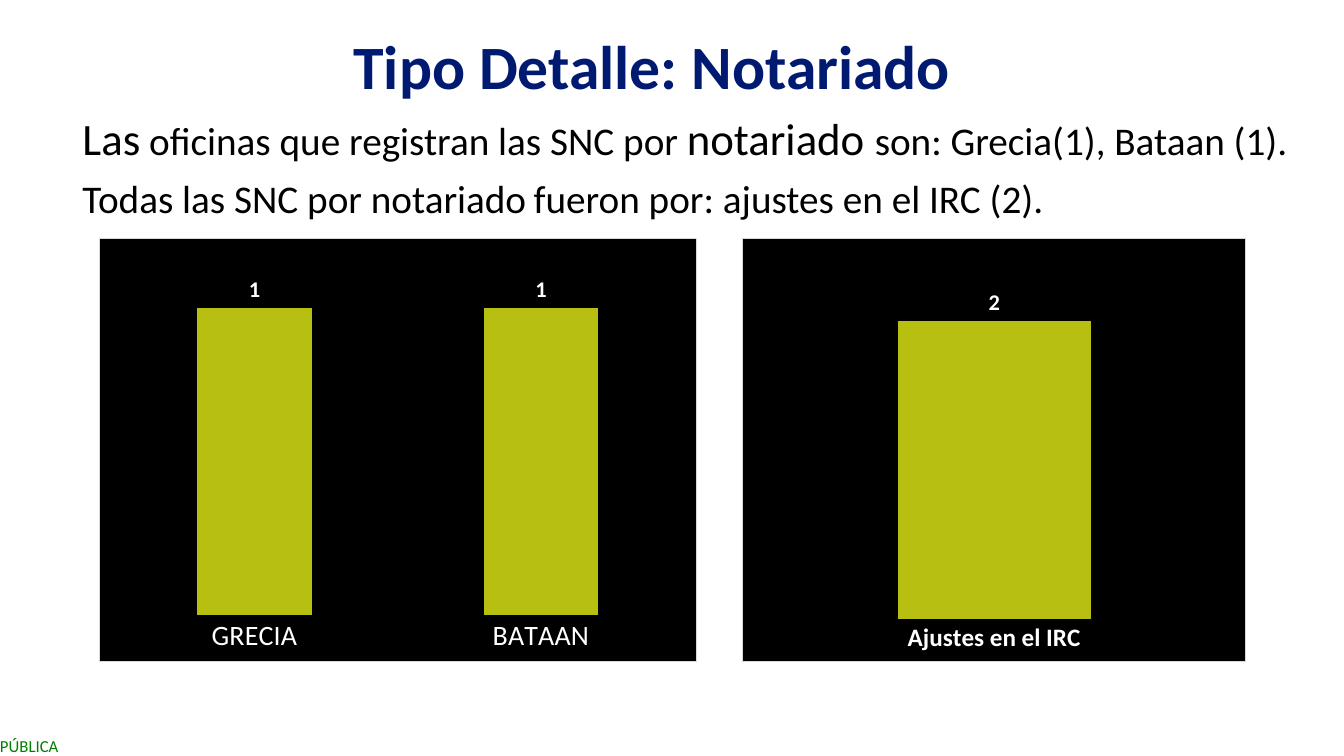
from lxml import etree
from pptx import Presentation
from pptx.chart.data import CategoryChartData
from pptx.dml.color import RGBColor
from pptx.enum.chart import XL_CHART_TYPE as CT, XL_LABEL_POSITION as LP, XL_TICK_MARK as TM
from pptx.enum.text import MSO_ANCHOR as ANCHOR, PP_ALIGN as ALIGN
from pptx.oxml import parse_xml
from pptx.oxml.ns import nsdecls, qn
from pptx.util import Pt

PX = 9144  # EMU per px, 100 px to the inch


def rgb(value):
    return RGBColor.from_string(value)


class Deck:
    FONT = "Calibri"
    BLACK, WHITE, NAVY, GREEN = "000000", "FFFFFF", "001A72", "008000"
    BAR, BORDER = "B7BF10", "D9D9D9"

    def __init__(self, width, height):
        self.prs = Presentation()
        self.prs.slide_width, self.prs.slide_height = width * PX, height * PX
        self.s = self.prs.slides.add_slide(self.prs.slide_layouts[6])

    def style(self, font, size, color, bold=False):
        values = {"name": self.FONT, "size": Pt(size), "bold": bold}
        for key, value in values.items():
            setattr(font, key, value)
        font.color.rgb = rgb(color)

    def text(self, box, paragraphs, color, bold=False, frame=None, para=None, gap=0):
        """Each paragraph is a list of (text, size) runs."""
        sp = self.s.shapes.add_textbox(*(v * PX for v in box))
        tf = sp.text_frame
        for key, value in {"word_wrap": True, **(frame or {})}.items():
            setattr(tf, key, value)
        for i, runs in enumerate(paragraphs):
            p = tf.paragraphs[0] if i == 0 else tf.add_paragraph()
            for key, value in (para or {}).items():
                setattr(p, key, value)
            if i:
                p.space_before = Pt(gap)
            for content, size in runs:
                r = p.add_run()
                r.text = content
                self.style(r.font, size, color, bold)

    def columns(self, box, values, top, label_size, label_bold=False):
        data = CategoryChartData()
        data.categories = list(values)
        data.add_series("Series 1", list(values.values()))
        frame = self.s.shapes.add_chart(CT.COLUMN_CLUSTERED, *(v * PX for v in box), data)
        chart = frame.chart
        chart.has_title = chart.has_legend = False
        self.style(chart.font, 10, self.BLACK)

        # Axes
        axis = chart.category_axis
        axis.major_tick_mark = axis.minor_tick_mark = TM.NONE
        axis.format.line.fill.background()
        self.style(axis.tick_labels.font, label_size, self.WHITE, label_bold)
        scale = chart.value_axis
        limits = {"minimum_scale": 0, "maximum_scale": top,
                  "has_major_gridlines": False, "visible": False}
        for key, value in limits.items():
            setattr(scale, key, value)

        # Bars and their values
        plot = chart.plots[0]
        plot.gap_width, plot.vary_by_categories = 150, False
        series = plot.series[0]
        series.format.fill.solid()
        series.format.fill.fore_color.rgb = rgb(self.BAR)
        labels = series.data_labels
        labels.show_value, labels.position = True, LP.OUTSIDE_END
        self.style(labels.font, 16, self.WHITE, True)

        # Chart background and border
        area = parse_xml(
            f'<c:spPr {nsdecls("c", "a")}>'
            f'<a:solidFill><a:srgbClr val="{self.BLACK}"/></a:solidFill>'
            f'<a:ln w="{Pt(0.75)}"><a:solidFill><a:srgbClr val="{self.BORDER}"/>'
            '</a:solidFill></a:ln></c:spPr>')
        space = chart.element if hasattr(chart, "element") else chart._chartSpace
        space.find(qn("c:chart")).addnext(area)
        if space.find(qn("c:roundedCorners")) is None:
            corners = etree.Element(qn("c:roundedCorners"), val="0")
            date = space.find(qn("c:date1904"))
            if date is not None:
                date.addnext(corners)
            else:
                space.insert(0, corners)


def main():
    deck = Deck(1333, 750)

    # Classification mark
    margins = ("margin_left", "margin_top", "margin_right", "margin_bottom")
    deck.text((0, 730, 83, 20), [[("PÚBLICA", 12)]], deck.GREEN,
              frame=dict.fromkeys(margins, 0))

    # Title
    deck.text((235, 14, 824, 93), [[("Tipo Detalle: Notariado", 44)]], deck.NAVY, True,
              frame={"vertical_anchor": ANCHOR.BOTTOM},
              para={"alignment": ALIGN.CENTER, "line_spacing": 0.9})

    # Charts: offices, then causes
    deck.columns((98, 236, 593, 421), {"GRECIA": 1, "BATAAN": 1}, 1.2, 20)
    deck.columns((736, 236, 500, 421), {"Ajustes en el IRC": 2}, 2.5, 18, True)

    # Summary
    deck.text((72, 111, 1226, 121), [
        [("Las", 32), (" oficinas que registran las SNC por ", 28),
         ("notariado ", 32), ("son: Grecia(1), Bataan (1).", 28)],
        [("Todas las SNC por notariado", 28), (" ", 24),
         ("fueron por: ajustes en el IRC (2).", 28)],
    ], deck.BLACK, para={"alignment": ALIGN.JUSTIFY, "line_spacing": 0.9}, gap=10)

    deck.prs.save("out.pptx")


if __name__ == "__main__":
    main()
